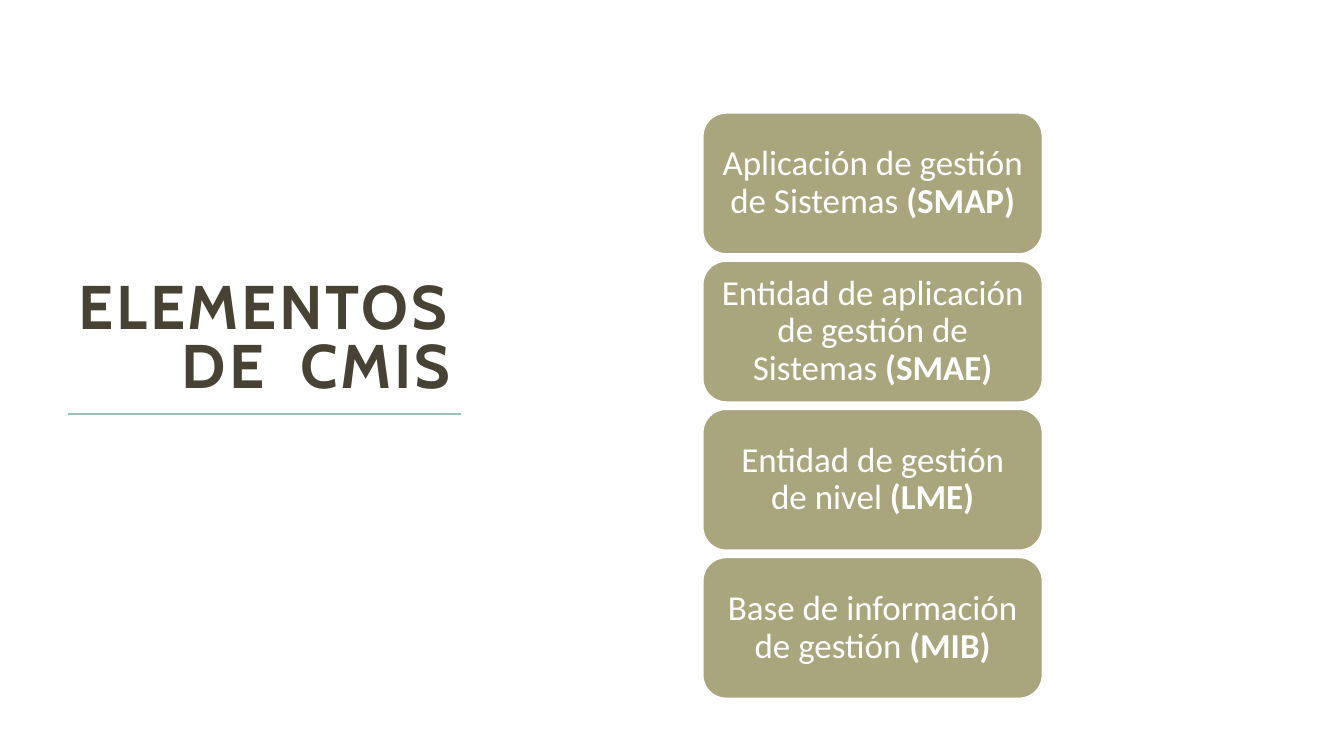
from pptx import Presentation
from pptx.dml.color import RGBColor
from pptx.enum.shapes import MSO_CONNECTOR, MSO_SHAPE
from pptx.enum.text import MSO_ANCHOR, MSO_AUTO_SIZE, PP_ALIGN
from pptx.oxml.ns import qn
from pptx.util import Inches, Pt
from lxml import etree

ROUNDED = MSO_SHAPE.ROUNDED_RECTANGLE
STRAIGHT = MSO_CONNECTOR.STRAIGHT
MIDDLE, BOTTOM = MSO_ANCHOR.MIDDLE, MSO_ANCHOR.BOTTOM
CENTER, RIGHT = PP_ALIGN.CENTER, PP_ALIGN.RIGHT
NO_FIT = MSO_AUTO_SIZE.NONE


def rgb(value):
    return RGBColor.from_string(value)


def add_run(p, text, font, size, color, bold):
    r = p.add_run()
    r.text = text
    r.font.name = font
    r.font.size = Pt(size)
    r.font.color.rgb = rgb(color)
    r.font.bold = bold
    return r


prs = Presentation()
prs.slide_width, prs.slide_height = Inches(13.33), Inches(7.5)
s = prs.slides.add_slide(prs.slide_layouts[5])
s.background.fill.solid()
s.background.fill.fore_color.rgb = rgb("FFFFFF")

# Title
title = s.shapes.title
title.left, title.top = Inches(0.67), Inches(0.75)
title.width, title.height = Inches(3.9), Inches(3.27)
tf = title.text_frame
tf.word_wrap = True
tf.auto_size = NO_FIT
tf.vertical_anchor = BOTTOM
p = tf.paragraphs[0]
p.alignment = RIGHT
p.line_spacing = 0.8
r = add_run(p, "ELEMENTOS  DE  CMIS", "Cabin", 44, "474233", True)
r.font._element.set("spc", "200")

# Rule under the title
rule = s.shapes.add_connector(STRAIGHT, Inches(0.67), Inches(4.11), Inches(4.57), Inches(4.11))
rule.line.color.rgb = rgb("9CBEBD")
rule.line.width = Pt(1.5)
etree.SubElement(rule._element.spPr, qn("a:effectLst"))

# Stack of elements
elements = [
    ("Aplicación de gestión de Sistemas ", "(SMAP)"),
    ("Entidad de aplicación de gestión de Sistemas ", "(SMAE)"),
    ("Entidad de gestión de nivel ", "(LME)"),
    ("Base de información de gestión ", "(MIB)"),
]
for i, (name, acronym) in enumerate(elements):
    sp = s.shapes.add_shape(ROUNDED, Inches(6.97), Inches(1.12 + i * 1.47), Inches(3.37), Inches(1.4))
    sp.shadow.inherit = False
    sp.fill.solid()
    sp.fill.fore_color.rgb = rgb("A9A57C")
    sp.line.color.rgb = rgb("FFFFFF")
    sp.line.width = Pt(1.25)
    tf = sp.text_frame
    tf.word_wrap = True
    tf.vertical_anchor = MIDDLE
    p = tf.paragraphs[0]
    p.alignment = CENTER
    p.line_spacing = 0.9
    add_run(p, name, "Calibri", 25, "FFFFFF", False)
    add_run(p, acronym, "Calibri", 25, "FFFFFF", True)

prs.save("out.pptx")
